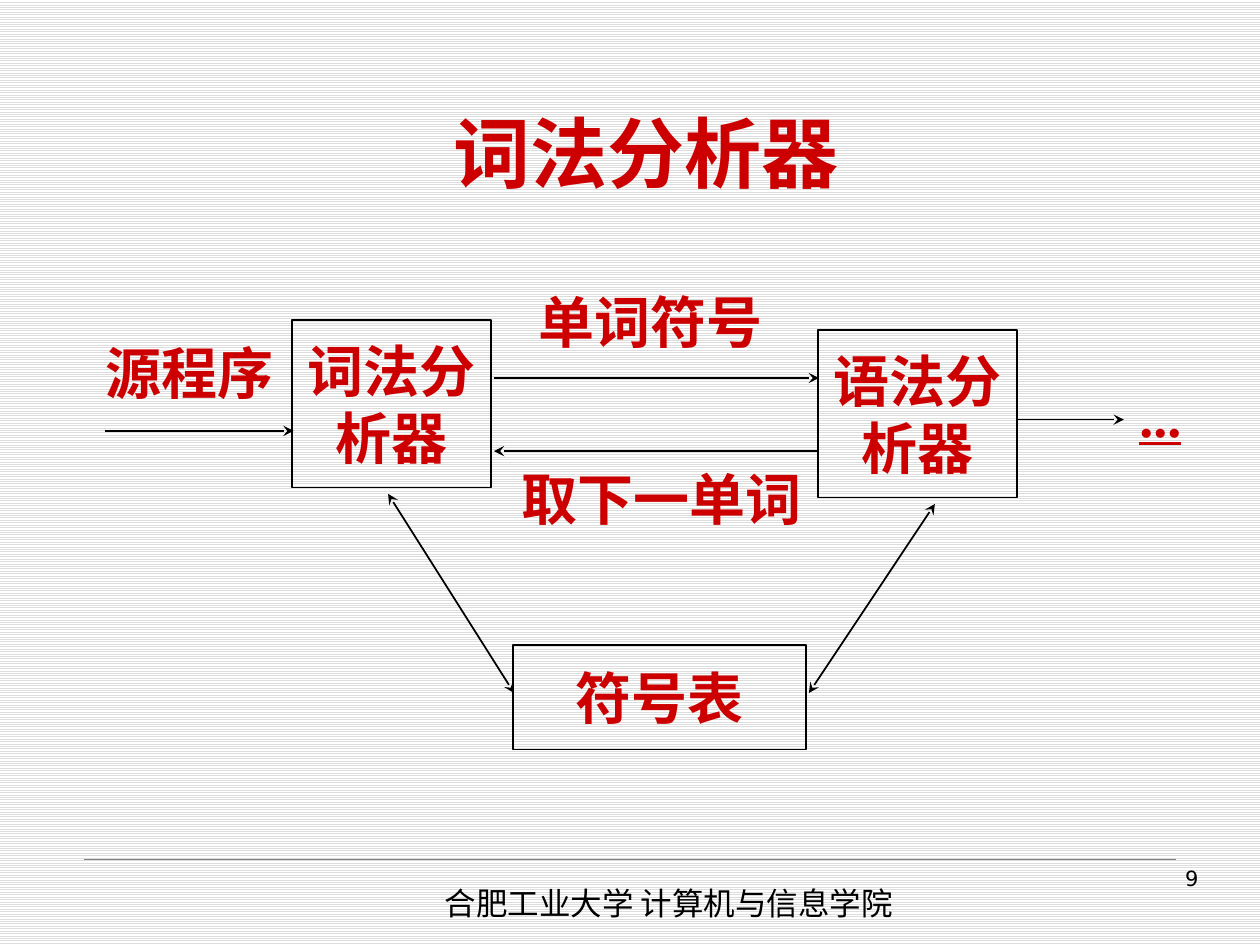
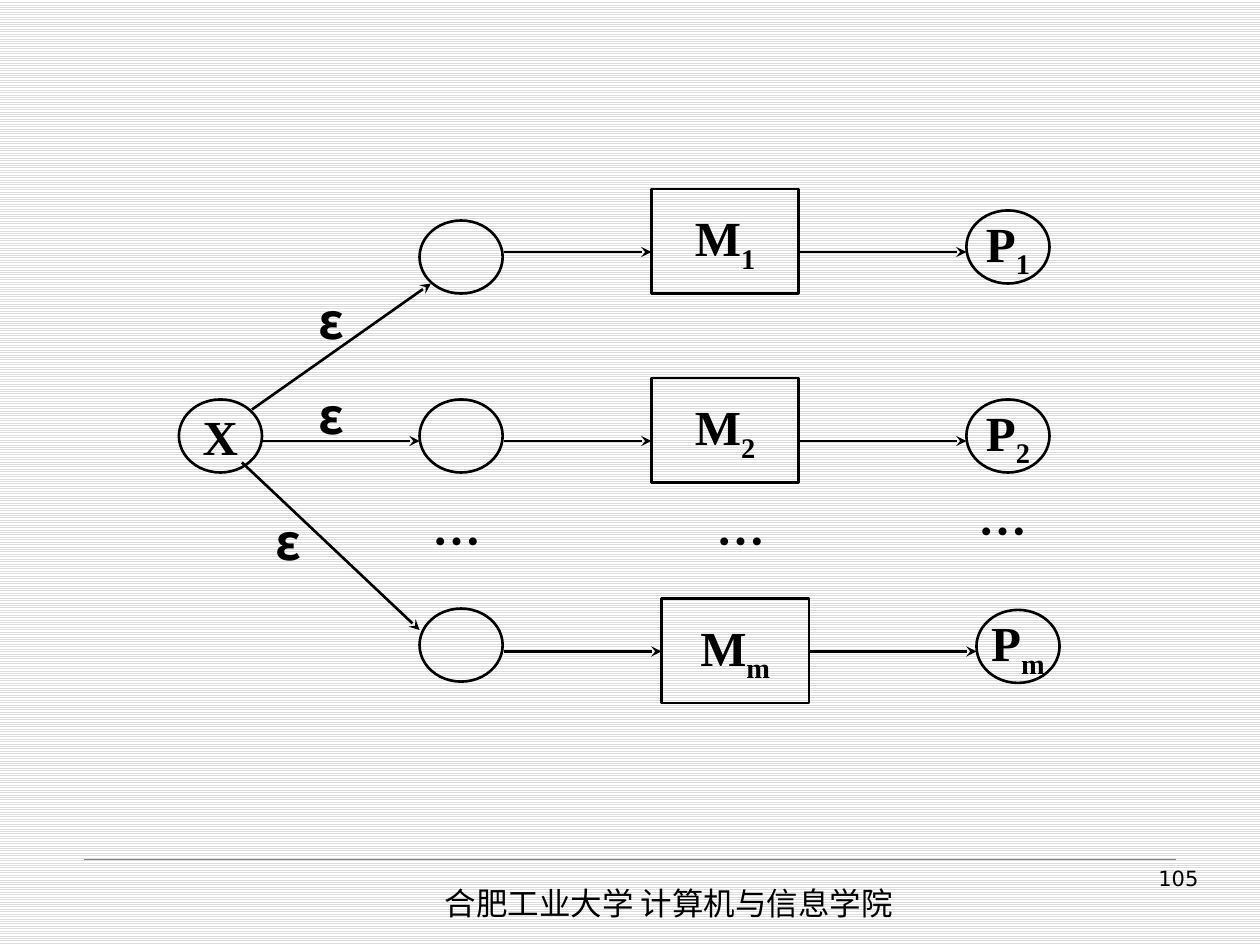
from lxml import etree
from pptx import Presentation
from pptx import util as u
from pptx.dml import color, fill
from pptx.enum import dml, shapes, text
from pptx.oxml import ns

HUES = {"ink": "000000", "red": "CC0000", "rule": "808080",
        "stripe": "DDDDDD", "paper": "FFFFFF"}
CJK, SERIF, SANS = "Noto Sans CJK SC", "Times New Roman", "DejaVu Sans"
MID = text.PP_ALIGN.CENTER
RECT, OVAL = shapes.MSO_SHAPE.RECTANGLE, shapes.MSO_SHAPE.OVAL


def hue(name):
    """Return the named colour."""
    return color.RGBColor.from_string(HUES[name])


def inch(*nums):
    """Turn numbers into lengths."""
    return [u.Inches(num) for num in nums]


def write(frame, rows, size, font, tint, bold=True, align=MID,
          anchor=text.MSO_ANCHOR.MIDDLE, wrap=False, line=False):
    """Fill a frame with rows, each a word and an optional subscript."""
    frame.word_wrap = wrap
    frame.auto_size = text.MSO_AUTO_SIZE.NONE
    frame.vertical_anchor = anchor
    frame.margin_left = frame.margin_right = u.Inches(0.1)
    frame.margin_top = frame.margin_bottom = u.Inches(0.05)
    for i, row in enumerate(rows):
        para = frame.add_paragraph() if i else frame.paragraphs[0]
        para.alignment = align
        for j, part in enumerate(row):
            run = para.add_run()
            run.text = part
            run.font.size, run.font.bold = u.Pt(size), bold
            run.font.name = font
            run.font.color.rgb = hue(tint)
            if line:
                run.font.underline = True
            props = run._r.get_or_add_rPr()
            etree.SubElement(props, ns.qn("a:ea")).set("typeface", CJK)
            if j:
                props.set("baseline", "-25000")


def label(slide, box, rows, size, font, tint, **style):
    """Add a text box."""
    write(slide.shapes.add_textbox(*inch(*box)).text_frame,
          rows, size, font, tint, **style)


def node(slide, kind, box, width, rows=(), size=28, tint="ink"):
    """Add an outlined shape with centred text."""
    shape = slide.shapes.add_shape(kind, *inch(*box))
    shape.shadow.inherit = False
    shape.fill.background()
    shape.line.color.rgb = hue("ink")
    shape.line.width = u.Pt(width)
    write(shape.text_frame, rows, size, SERIF, tint)


def link(slide, x, y, x2, y2, width, tint="ink", ends=("tailEnd",)):
    """Add a straight line with the given arrowheads."""
    wire = slide.shapes.add_connector(
        shapes.MSO_CONNECTOR.STRAIGHT, *inch(x, y, x2, y2))
    wire.line.color.rgb = hue(tint)
    wire.line.width = u.Pt(width)
    for end in ends:
        etree.SubElement(wire.line._get_or_add_ln(),
                         ns.qn("a:" + end)).set("type", "stealth")
    etree.SubElement(wire._element.spPr, ns.qn("a:effectLst"))


def base(deck, layout, num):
    """Add a slide with striped ground, rule, footer and number."""
    slide = deck.slides.add_slide(deck.slide_layouts[layout])
    ground = slide.background.fill
    ground.patterned()
    ground.pattern = dml.MSO_PATTERN.LIGHT_HORIZONTAL
    ground.fore_color.rgb = hue("stripe")
    ground.back_color.rgb = hue("paper")
    top = text.MSO_ANCHOR.TOP
    link(slide, 0.67, 6.82, 9.33, 6.82, 0.25, "rule", ())
    label(slide, (3.43, 6.97, 4.72, 0.4), [["合肥工业大学 计算机与信息学院"]],
          18, CJK, "ink", bold=False, align=text.PP_ALIGN.LEFT,
          anchor=top, wrap=True)
    label(slide, (7.44, 6.82, 2.17, 0.52), [[num]], 12, SANS, "ink",
          bold=False, align=text.PP_ALIGN.RIGHT, anchor=top, wrap=True)
    return slide


def head(slide, box, words):
    """Place and format the title."""
    title = slide.shapes.title
    title.left, title.top, title.width, title.height = inch(*box)
    write(title.text_frame, [[words]], 44, CJK, "red", wrap=True)


def flow(slide, x, y):
    """Draw the lexer, parser and symbol table from a corner."""
    for dx, dy, w, h, rows in (
            (1.65, 0.37, 1.58, 1.33, [["词法分"], ["析器"]]),
            (5.82, 0.45, 1.58, 1.33, [["语法分"], ["析器"]]),
            (3.4, 2.95, 2.33, 0.83, [["符号表"]])):
        node(slide, RECT, (x + dx, y + dy, w, h), 1, rows, 32, "red")
    for dx, dy, w, words in ((0, 0.41, 1.67, "源程序"),
                             (3.66, 0, 1.67, "单词符号"),
                             (3.33, 1.41, 2.5, "取下一单词"),
                             (8.08, 0.75, 0.92, "...")):
        label(slide, (x + dx, y + dy, w, 0.75), [[words]], 32, SERIF, "red",
              line=words == "...")
    for dx, dx2, dy in ((0.16, 1.66, 1.25), (3.25, 5.83, 0.83),
                        (5.83, 3.25, 1.41), (7.41, 8.25, 1.16)):
        link(slide, x + dx, y + dy, x + dx2, y + dy, 1)
    for dx, dy, dx2 in ((2.41, 1.75, 3.41), (6.75, 1.83, 5.75)):
        link(slide, x + dx, y + dy, x + dx2, y + 3.33, 1,
             ends=("headEnd", "tailEnd"))


def lane(slide, x, y, mark, rise, lift, shift):
    """Draw one state, machine and final state along an axis."""
    node(slide, OVAL, (x, y - rise, 0.66, 0.58), 1.5)
    node(slide, RECT, (x + 1.84 + shift, y - lift, 1.17, 0.83), 1.5,
         [["M", mark]])
    node(slide, OVAL, (x + 4.34 + shift, y - 0.33, 0.66, 0.58), 1.5,
         [["P", mark]])
    link(slide, x + 0.67, y, x + 1.84 + shift, y, 1.5)
    link(slide, x + 3 + shift, y, x + 4.34 + shift, y, 1.5)


def fan(slide, x, y):
    """Draw the start state and its branches from a corner."""
    node(slide, OVAL, (x, y + 1.67, 0.66, 0.58), 1.5, [["X"]])
    for dy, *lot in ((0.5, "1", 0.25, 0.5, 0), (2, "2", 0.33, 0.5, 0),
                     (3.67, "m", 0.34, 0.42, 0.08)):
        lane(slide, x + 1.91, y + dy, *lot)
    for dx, dy, dx2, dy2 in ((0.58, 1.75, 2, 0.75), (0.66, 2, 1.91, 2),
                             (0.5, 2.17, 1.91, 3.5)):
        link(slide, x + dx, y + dy, x + dx2, y + dy2, 1.5)
    for dx, dy, sign in ((0.75, 0.75, "ε"), (0.75, 1.5, "ε"),
                         (0.41, 2.5, "ε"), (1.75, 2.5, "…"),
                         (4, 2.5, "…"), (6.08, 2.42, "…")):
        label(slide, (x + dx, y + dy, 0.92, 0.58), [[sign]], 28, CJK, "ink")


def main():
    """Build the deck."""
    deck = Presentation()
    deck.slide_width, deck.slide_height = inch(10, 7.5)
    lexer = base(deck, 5, "9")
    head(lexer, (0.75, 0.58, 8.75, 1.25), "词法分析器")
    flow(lexer, 0.67, 2.17)
    fan(base(deck, 6, "105"), 1.42, 1.5)
    deck.save("out.pptx")


if __name__ == "__main__":
    main()
